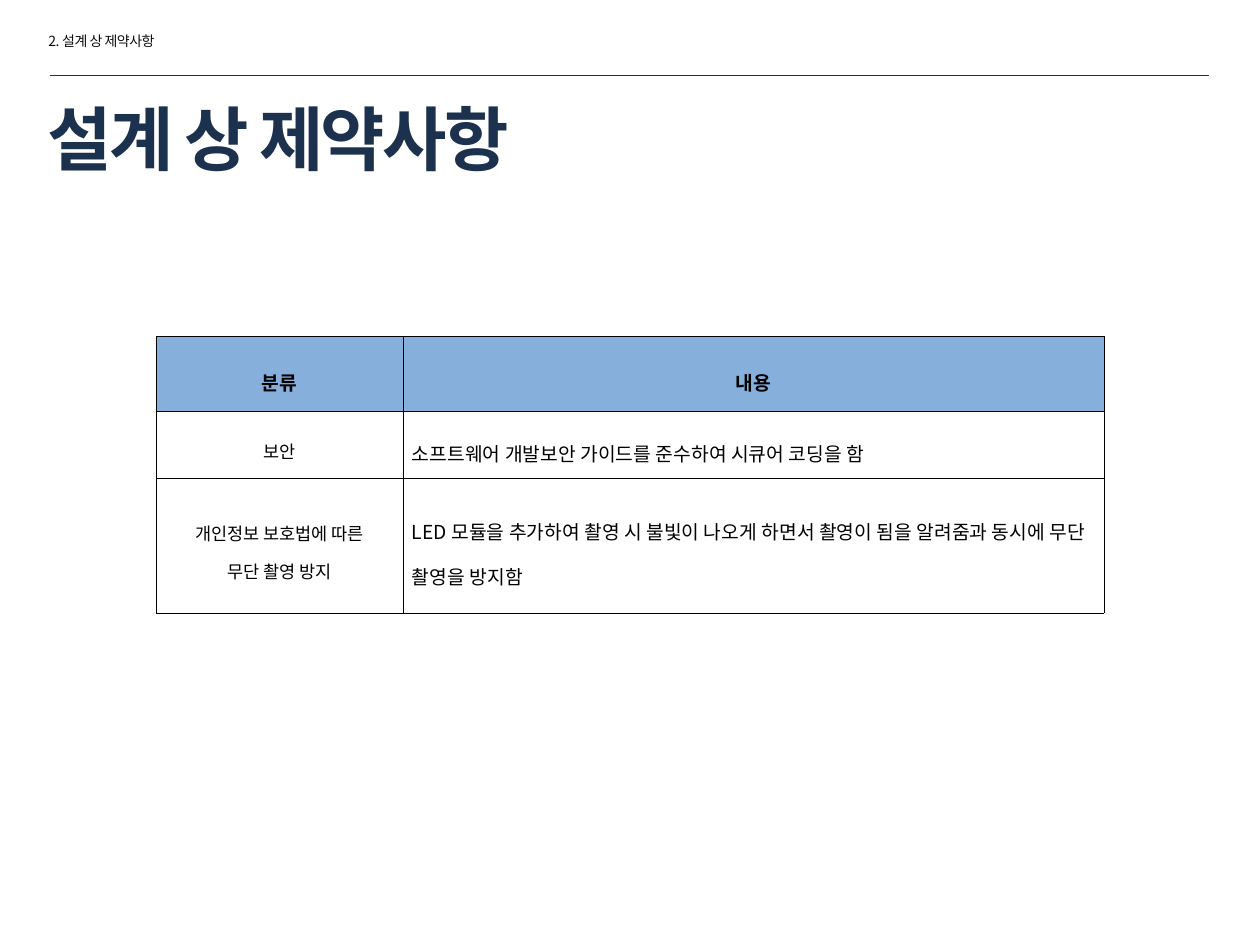
import pptx
import pptx.dml.color
import pptx.enum.shapes
import pptx.enum.text
import pptx.oxml
import pptx.oxml.ns
import pptx.util

PX_PER_INCH = 126
FONT = "Noto Sans CJK KR"
COLORS = {
    "navy": "1C314E",
    "breadcrumb": "0D0D0D",
    "black": "000000",
    "header": "86AFDC",
}
ALIGN = pptx.enum.text.PP_ALIGN
MIDDLE = pptx.enum.text.MSO_ANCHOR.MIDDLE


def px(length):
    return pptx.util.Emu(round(length * 914400 / PX_PER_INCH))


def rgb(name):
    return pptx.dml.color.RGBColor.from_string(COLORS[name])


def format_paragraph(paragraph, size, color, bold=False, align=ALIGN.LEFT,
                     line_spacing=None, tracking=None):
    """Style a paragraph; tracking is in hundredths of a point."""
    paragraph.alignment = align
    paragraph.line_spacing = line_spacing
    for run in paragraph.runs:
        run.font.name = FONT
        run.font.size = pptx.util.Pt(size)
        run.font.bold = bold
        run.font.color.rgb = rgb(color)
        properties = run.font._element
        east_asian = pptx.oxml.parse_xml(
            f'<a:ea {pptx.oxml.ns.nsdecls("a")} typeface="{FONT}"/>')
        properties.find(pptx.oxml.ns.qn("a:latin")).addnext(east_asian)
        if tracking is not None:
            properties.set("spc", str(tracking))


def add_text(slide, text, box, anchor=None, **style):
    shape = slide.shapes.add_textbox(*map(px, box))
    frame = shape.text_frame
    frame.word_wrap = True
    frame.vertical_anchor = anchor
    frame.text = text
    format_paragraph(frame.paragraphs[0], **style)


def add_rule(slide, left, right, y):
    line = slide.shapes.add_connector(
        pptx.enum.shapes.MSO_CONNECTOR.STRAIGHT,
        px(left), px(y), px(right), px(y))
    line.line.color.rgb = rgb("navy")
    line.line.width = pptx.util.Pt(0.25)
    line._element.spPr.append(pptx.oxml.parse_xml(
        f'<a:effectLst {pptx.oxml.ns.nsdecls("a")}/>'))


def set_borders(cell, color, width):
    properties = cell._tc.get_or_add_tcPr()
    for index, side in enumerate(("lnL", "lnR", "lnT", "lnB")):
        properties.insert(index, pptx.oxml.parse_xml(
            f'<a:{side} {pptx.oxml.ns.nsdecls("a")} w="{pptx.util.Pt(width)}">'
            f'<a:solidFill><a:srgbClr val="{COLORS[color]}"/></a:solidFill>'
            f'</a:{side}>'))


def fill_cell(cell, text, header, **style):
    cell.vertical_anchor = MIDDLE
    cell.margin_left = cell.margin_right = px(9)
    cell.margin_top = cell.margin_bottom = px(2)
    if header:
        cell.fill.solid()
        cell.fill.fore_color.rgb = rgb("header")
    else:
        cell.fill.background()
    set_borders(cell, "black", 0.28)
    cell.text_frame.text = text
    for paragraph in cell.text_frame.paragraphs:
        format_paragraph(paragraph, color="black", bold=header, **style)


def add_constraint_table(slide, left, top, widths, heights, rows):
    table = slide.shapes.add_table(
        len(rows), len(widths), px(left), px(top),
        px(sum(widths)), px(sum(heights))).table
    table.first_row = table.horz_banding = False
    for column, width in zip(table.columns, widths):
        column.width = px(width)
    for row, height in zip(table.rows, heights):
        row.height = px(height)

    heading = dict(size=11, align=ALIGN.CENTER, line_spacing=1.6)
    category = dict(size=10, align=ALIGN.CENTER, line_spacing=1.5)
    content = dict(size=11, align=ALIGN.LEFT, line_spacing=1.6)
    for row_index, texts in enumerate(rows):
        header = row_index == 0
        styles = (heading, heading) if header else (category, content)
        for column_index, (text, style) in enumerate(zip(texts, styles)):
            fill_cell(table.cell(row_index, column_index), text, header, **style)


def main():
    presentation = pptx.Presentation()
    presentation.slide_width = px(1260)
    presentation.slide_height = px(945)
    slide = presentation.slides.add_slide(presentation.slide_layouts[6])

    add_text(slide, "2. 설계 상 제약사항", (36, 26, 218, 30),
             size=8, color="breadcrumb", tracking=-30)
    add_rule(slide, 50, 1209, 75)
    add_text(slide, "설계 상 제약사항", (35, 97, 964, 81), anchor=MIDDLE,
             size=40, color="navy", bold=True, tracking=-150)
    add_constraint_table(
        slide, 156, 336, widths=(247, 701), heights=(75, 67, 135),
        rows=[
            ("분류", "내용"),
            ("보안", "소프트웨어 개발보안 가이드를 준수하여 시큐어 코딩을 함"),
            ("개인정보 보호법에 따른\n무단 촬영 방지",
             "LED 모듈을 추가하여 촬영 시 불빛이 나오게 하면서 촬영이 됨을 "
             "알려줌과 동시에 무단 촬영을 방지함"),
        ])
    presentation.save("out.pptx")


if __name__ == "__main__":
    main()
